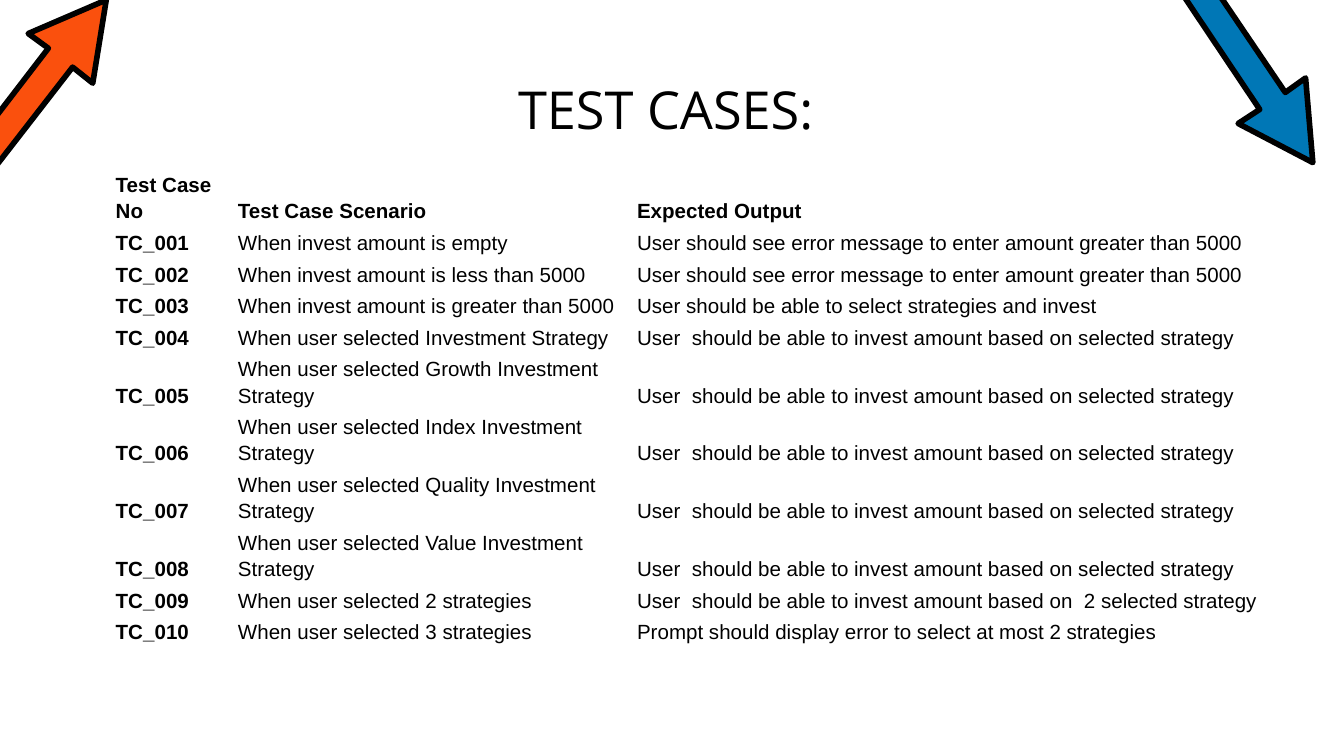
"""Build the test cases slide with its table and two corner arrows."""
from dataclasses import dataclass

from pptx import Presentation
from pptx.dml.color import RGBColor
from pptx.enum.text import MSO_ANCHOR, PP_ALIGN
from pptx.oxml.ns import qn
from pptx.oxml.xmlchemy import OxmlElement
from pptx.util import Pt

MIDDLE = MSO_ANCHOR.MIDDLE
BOTTOM = MSO_ANCHOR.BOTTOM
CENTER = PP_ALIGN.CENTER
TITLE_ONLY = 5
BLACK, WHITE, ORANGE, BLUE = "000000", "FFFFFF", "FA500D", "0077B6"
ROW_HEIGHT = 15.84
COLUMN_WIDTHS = (65.5, 213.8, 356.4)
ZIGZAG = (
    (279.4, 0), (237.6, 18), (248.4, 25.9), (169.9, 128.2), (101.5, 69.8), (0, 200.9),
    (13, 211), (103.7, 93.6), (172.1, 151.2), (261.4, 36), (272.2, 44.6),
)


@dataclass
class CornerArrow:
    left: float
    top: float
    rotation: float
    color: str


@dataclass
class TestCase:
    number: str
    scenario: str
    expected: str


ERROR_MESSAGE = "User should see error message to enter amount greater than 5000"
INVEST_BY_STRATEGY = "User  should be able to invest amount based on selected strategy"
SCENARIOS = (
    ("When invest amount is empty", ERROR_MESSAGE),
    ("When invest amount is less than 5000", ERROR_MESSAGE),
    ("When invest amount is greater than 5000",
     "User should be able to select strategies and invest"),
    ("When user selected Investment Strategy", INVEST_BY_STRATEGY),
    *((f"When user selected {kind} Investment Strategy", INVEST_BY_STRATEGY)
      for kind in ("Growth", "Index", "Quality", "Value")),
    ("When user selected 2 strategies",
     "User  should be able to invest amount based on  2 selected strategy"),
    ("When user selected 3 strategies",
     "Prompt should display error to select at most 2 strategies"),
)
TEST_CASES = [
    TestCase("Test Case No", "Test Case Scenario", "Expected Output"),
    *(TestCase(f"TC_{i:03}", *texts) for i, texts in enumerate(SCENARIOS, 1)),
]
ARROWS = (
    CornerArrow(-222.5, 0, 0, ORANGE),
    CornerArrow(507.6, -184.3, 108.4, BLUE),
)


def rgb(value: str) -> RGBColor:
    return RGBColor.from_string(value)


def format_text(paragraph, font_name: str, size: float, bold: bool) -> None:
    for run in paragraph.runs:
        run.font.name = font_name
        run.font.size = Pt(size)
        run.font.bold = bold
        run.font.color.rgb = rgb(BLACK)


def draw_arrow(slide, arrow: CornerArrow) -> None:
    start, *corners = [(Pt(x), Pt(y)) for x, y in ZIGZAG]
    outline = slide.shapes.build_freeform(*start, scale=1.0)
    outline.add_line_segments(corners, close=True)
    zigzag = outline.convert_to_shape(Pt(arrow.left), Pt(arrow.top))
    zigzag.rotation = arrow.rotation
    zigzag.shadow.inherit = False
    zigzag.fill.solid()
    zigzag.fill.fore_color.rgb = rgb(arrow.color)
    zigzag.line.color.rgb = rgb(BLACK)
    zigzag.line.width = Pt(3)
    zigzag.line._get_or_add_ln().append(OxmlElement("a:round"))


def write_title(slide, text: str) -> None:
    title = slide.shapes.title
    title.left, title.top, title.width, title.height = Pt(56.7), Pt(35.4), Pt(607), Pt(45.4)
    frame = title.text_frame
    frame.text = text
    frame.vertical_anchor = MIDDLE
    frame.margin_left = frame.margin_right = Pt(7.2)
    frame.margin_top = frame.margin_bottom = Pt(7.2)
    frame.paragraphs[0].alignment = CENTER
    format_text(frame.paragraphs[0], "Open Sans", 28, False)


def add_borders(cell) -> None:
    properties = cell._tc.get_or_add_tcPr()
    for index, side in enumerate(("a:lnL", "a:lnR", "a:lnT", "a:lnB")):
        border = OxmlElement(side)
        border.set("w", str(Pt(0.56)))
        fill = OxmlElement("a:solidFill")
        color = OxmlElement("a:srgbClr")
        color.set("val", WHITE)
        fill.append(color)
        border.append(fill)
        properties.insert(index, border)


def fill_cell(cell, text: str, bold: bool) -> None:
    cell.text_frame.text = text
    cell.vertical_anchor = BOTTOM
    cell.margin_left = cell.margin_right = Pt(2.2)
    cell.margin_top = cell.margin_bottom = Pt(1.44)
    cell.fill.solid()
    cell.fill.fore_color.rgb = rgb(WHITE)
    paragraph = cell.text_frame.paragraphs[0]
    paragraph.line_spacing = 1.15
    format_text(paragraph, "Arial", 11, bold)
    add_borders(cell)


def draw_test_cases(slide, cases: list[TestCase]) -> None:
    table = slide.shapes.add_table(
        len(cases), len(COLUMN_WIDTHS), Pt(59.8), Pt(90),
        Pt(sum(COLUMN_WIDTHS)), Pt(ROW_HEIGHT * len(cases)),
    ).table
    table.first_row = table.horz_banding = False
    for column, width in zip(table.columns, COLUMN_WIDTHS):
        column.width = Pt(width)
    for r, case in enumerate(cases):
        table.rows[r].height = Pt(ROW_HEIGHT)
        for c, text in enumerate((case.number, case.scenario, case.expected)):
            fill_cell(table.cell(r, c), text, bold=r == 0 or c == 0)


def main() -> None:
    deck = Presentation()
    deck.slide_width, deck.slide_height = Pt(720), Pt(405)
    slide = deck.slides.add_slide(deck.slide_layouts[TITLE_ONLY])
    for arrow in ARROWS:
        draw_arrow(slide, arrow)
    write_title(slide, "TEST CASES: ")
    draw_test_cases(slide, TEST_CASES)
    deck.save("out.pptx")


if __name__ == "__main__":
    main()
